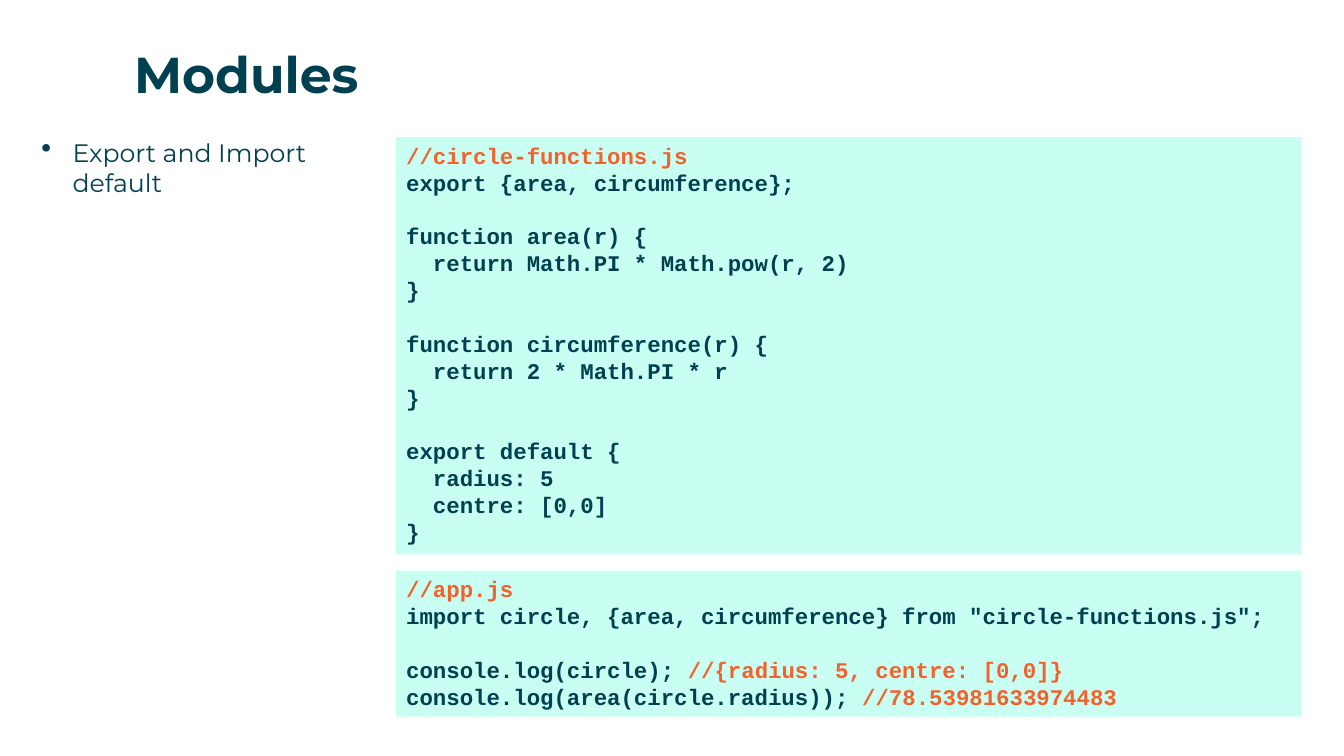
from dataclasses import dataclass

import pptx
import pptx.dml.color
import pptx.enum.shapes
import pptx.enum.text
import pptx.oxml
import pptx.oxml.ns
import pptx.util

EMU_PER_PX = 9144  # 100 px to the inch
COLORS = {"ink": "004050", "comment": "F3612C", "panel": "C8FFF2", "page": "FFFFFF"}
CODE_SIZE = 16
CODE_PITCH = pptx.util.Pt(19.2)

CIRCLE_CODE = """\
//circle-functions.js
export {area, circumference};

function area(r) {
  return Math.PI * Math.pow(r, 2)
}

function circumference(r) {
  return 2 * Math.PI * r
}

export default {
  radius: 5
  centre: [0,0]
}"""

APP_CODE = """\
//app.js
import circle, {area, circumference} from "circle-functions.js";

console.log(circle); //{radius: 5, centre: [0,0]}
console.log(area(circle.radius)); //78.53981633974483"""


@dataclass
class Box:
    left: int
    top: int
    width: int
    height: int

    def emu(self) -> list[int]:
        return [px * EMU_PER_PX for px in (self.left, self.top, self.width, self.height)]


@dataclass
class Label:
    box: Box
    text: str
    size: int
    bold: bool = False
    bullet: bool = False


@dataclass
class CodePanel:
    box: Box
    code: str


LABELS = [
    Label(Box(133, 43, 1159, 57), "Modules", 36, bold=True),
    Label(Box(41, 136, 352, 573), "Export and Import default", 18, bullet=True),
]
PANELS = [
    CodePanel(Box(393, 136, 898, 414), CIRCLE_CODE),
    CodePanel(Box(393, 566, 898, 145), APP_CODE),
]


def rgb(name: str) -> pptx.dml.color.RGBColor:
    return pptx.dml.color.RGBColor.from_string(COLORS[name])


def add_run(p, text: str, color: str, **font_format) -> None:
    r = p.add_run()
    r.text = text
    for name, value in font_format.items():
        setattr(r.font, name, value)
    r.font.color.rgb = rgb(color)


def add_bullet(p) -> None:
    pPr = p._p.get_or_add_pPr()
    indent = 31 * EMU_PER_PX
    pPr.set("marL", str(indent))
    pPr.set("indent", str(-indent))
    for tag, key, value in (("buSzPct", "val", "115000"), ("buChar", "char", "•")):
        bullet = pptx.oxml.parse_xml(f'<a:{tag} {pptx.oxml.ns.nsdecls("a")} {key}="{value}"/>')
        pPr.append(bullet)
    p.space_after = pptx.util.Pt(6.5)


def draw_label(slide, label: Label) -> None:
    tf = slide.shapes.add_textbox(*label.box.emu()).text_frame
    frame_format = dict(word_wrap=True, margin_left=0, margin_top=0,
                        margin_right=0, margin_bottom=0)
    for name, value in frame_format.items():
        setattr(tf, name, value)
    p = tf.paragraphs[0]
    if label.bullet:
        add_bullet(p)
    add_run(p, label.text, "ink", name="Montserrat",
            size=pptx.util.Pt(label.size), bold=label.bold)


def write_code(tf, code: str) -> None:
    """Write one paragraph a line; an empty line becomes space before the next."""
    code_format = dict(name="Courier New", size=pptx.util.Pt(CODE_SIZE), bold=True)
    p = tf.paragraphs[0]
    for block_index, block in enumerate(code.split("\n\n")):
        for line_index, line in enumerate(block.split("\n")):
            if block_index or line_index:
                p = tf.add_paragraph()
            if block_index and not line_index:
                p.space_before = CODE_PITCH
            p.alignment = pptx.enum.text.PP_ALIGN.LEFT
            p.line_spacing = CODE_PITCH
            statement, slashes, comment = line.partition("//")
            for text, color in ((statement, "ink"), (slashes + comment, "comment")):
                if text:
                    add_run(p, text, color, **code_format)


def draw_panel(slide, panel: CodePanel) -> None:
    sp = slide.shapes.add_shape(pptx.enum.shapes.MSO_SHAPE.RECTANGLE, *panel.box.emu())
    sp.shadow.inherit = False
    sp.fill.solid()
    sp.fill.fore_color.rgb = rgb("panel")
    sp.line.fill.background()
    tf = sp.text_frame
    frame_format = dict(word_wrap=True, vertical_anchor=pptx.enum.text.MSO_ANCHOR.TOP,
                        auto_size=pptx.enum.text.MSO_AUTO_SIZE.SHAPE_TO_FIT_TEXT)
    for name, value in frame_format.items():
        setattr(tf, name, value)
    write_code(tf, panel.code)


def main() -> None:
    prs = pptx.Presentation()
    prs.slide_width, prs.slide_height = 1333 * EMU_PER_PX, 750 * EMU_PER_PX
    slide = prs.slides.add_slide(prs.slide_layouts[6])
    slide.background.fill.solid()
    slide.background.fill.fore_color.rgb = rgb("page")
    for label in LABELS:
        draw_label(slide, label)
    for panel in PANELS:
        draw_panel(slide, panel)
    prs.save("out.pptx")


if __name__ == "__main__":
    main()
